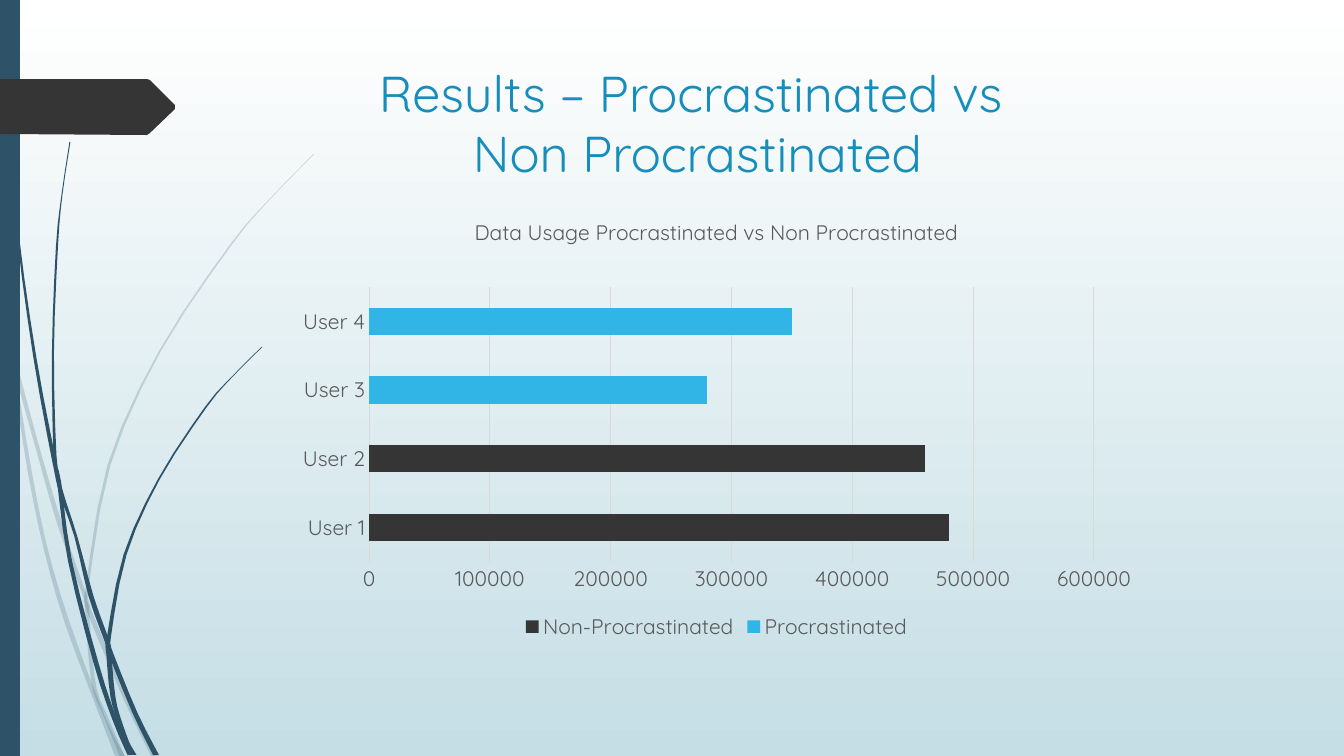
from lxml.etree import SubElement
from pptx import Presentation
from pptx.chart.data import CategoryChartData
from pptx.dml.color import RGBColor
from pptx.enum.chart import XL_CHART_TYPE as CT, XL_LEGEND_POSITION as LP, XL_TICK_MARK as TM
from pptx.enum.shapes import MSO_SHAPE as SH
from pptx.enum.text import MSO_ANCHOR as MA, PP_ALIGN as PA
from pptx.oxml.ns import qn
from pptx.util import Pt

PX = 914400 / 100.8
FONT = "Quicksand"
NAVY, DARK, SKY, TEAL = "2E5369", "353535", "31B4E6", "178DBB"
GREY, GRID = "595959", "D9D9D9"

PALE_STRANDS = [
    ([(14, 348, 0), (19, 379, 4), (39, 453, 4), (60, 525, 5), (86, 599, 4),
      (90, 613, 5), (126, 699, 5), (154, 756, 6)], (4, 5)),
    ([(11, 353, 0), (15, 379, 3), (30, 473, 4), (46, 550, 4), (68, 625, 5),
      (103, 718, 5), (120, 756, 10)], (5,)),
    ([(314, 154, 1), (270, 199, 1), (230, 246, 2), (160, 351, 2), (109, 465, 3),
      (87, 589, 3), (87, 606, 4), (90, 651, 4), (95, 690, 4), (106, 717, 4),
      (122, 756, 5)], (6, 8)),
]
DARK_STRANDS = [
    ([(4, 0, 1), (8, 110, 1), (18, 235, 2), (35, 358, 3), (55, 465, 4),
      (62, 495, 4), (76, 537, 3), (91, 596, 5), (107, 641, 5), (111, 654, 5),
      (135, 713, 5), (156, 755, 6)], (4, 5, 8, 9)),
    ([(70, 142, 1), (62, 195, 1), (57, 247, 2), (53, 352, 2), (55, 455, 3),
      (59, 481, 4), (70, 561, 4), (96, 663, 5), (115, 720, 5), (132, 755, 9)],
     (5, 8)),
    ([(262, 347, 1), (233, 376, 1), (206, 407, 2), (159, 479, 2), (125, 555, 3),
      (109, 637, 4), (109, 655, 5), (113, 697, 5), (120, 722, 4), (132, 755, 4)],
     (5, 7)),
]
TAG = [(0, 79), (147, 79), (150, 80), (175, 105), (175, 109), (150, 133),
       (147, 135), (0, 134)]


def px(*vals):
    return [round(v * PX) for v in vals]


def rgb(hex_color):
    return RGBColor.from_string(hex_color)


def put(obj, **values):
    for name, value in values.items():
        setattr(obj, name, value)


def set_font(font, size, color):
    put(font, size=Pt(size), name=FONT, bold=False)
    font.color.rgb = rgb(color)


def paint(sp, color, opacity=100):
    sp.shadow.inherit = False
    sp.fill.solid()
    sp.fill.fore_color.rgb = rgb(color)
    sp.line.fill.background()
    if opacity < 100:
        clr = sp.fill._xPr.find(qn("a:solidFill"))[0]
        SubElement(clr, qn("a:alpha"), val=str(opacity * 1000))


def add_outline(s, box, points, color, opacity=100):
    edge = [px(box[0] + x, box[1] + y) for x, y in points]
    fb = s.shapes.build_freeform(*edge[0], scale=1.0)
    fb.add_line_segments(edge[1:], close=True)
    paint(fb.convert_to_shape(), color, opacity)


def smooth(knots, steps):
    ends = [knots[0], *knots, knots[-1]]
    for a, b, c, d in zip(ends, ends[1:], ends[2:], ends[3:]):
        for t in (i / steps for i in range(steps)):
            yield [q + t * (r - p + t * (2 * p - 5 * q + 4 * r - s
                   + t * (3 * q - p - 3 * r + s))) / 2
                   for p, q, r, s in zip(a, b, c, d)]
    yield knots[-1]


def add_strand(s, box, knots, cuts, opacity, steps=3):
    pts = list(smooth(knots, steps))
    marks = [0, *cuts, len(knots) - 1]
    for start, end in zip(marks, marks[1:]):
        part = pts[start * steps:end * steps + 1]
        left = [(x - w / 2, y) for x, y, w in part]
        right = [(x + w / 2, y) for x, y, w in reversed(part)]
        add_outline(s, box, left + right, NAVY, opacity)


def add_side_decor(s, box):
    x, y, w, h = box
    for strands, opacity in ((PALE_STRANDS, 20), (DARK_STRANDS, 100)):
        for knots, cuts in strands:
            add_strand(s, box, knots, cuts, opacity)
    paint(s.shapes.add_shape(SH.RECTANGLE, *px(x, y, 20, h)), NAVY)
    add_outline(s, box, TAG, DARK)


def add_title(s, box):
    tf = s.shapes.add_textbox(*px(*box)).text_frame
    put(tf, word_wrap=True, vertical_anchor=MA.TOP,
        text="Results – Procrastinated vs \vNon Procrastinated")
    p = tf.paragraphs[0]
    p.alignment = PA.CENTER
    for r in p.runs:
        set_font(r.font, 36, TEAL)


def set_plot_layout(chart, box, plot_box):
    area = chart._chartSpace.chart.plotArea
    for old in area.findall(qn("c:layout")):
        area.remove(old)
    layout = SubElement(area, qn("c:layout"))
    area.insert(0, layout)
    manual = SubElement(layout, qn("c:manualLayout"))
    w, h = box[2:]
    shares = [v / full for v, full in zip(plot_box, (w, h, w, h))]
    modes = dict(layoutTarget="inner", xMode="edge", yMode="edge")
    for tag, val in {**modes, **dict(zip("xywh", shares))}.items():
        SubElement(manual, qn("c:" + tag), val=str(val))


def add_usage_chart(s, box):
    data = CategoryChartData()
    data.categories = [f"User {n}" for n in range(1, 5)]
    data.add_series("Non-Procrastinated", (480000, 460000, 280000, 350000))
    data.add_series("Procrastinated", (0, 0, 0, 0))
    chart = s.shapes.add_chart(CT.BAR_STACKED, *px(*box), data).chart
    set_font(chart.font, 15, GREY)
    chart.has_title = chart.has_legend = True
    tf = chart.chart_title.text_frame
    tf.text = "Data Usage Procrastinated vs Non Procrastinated"
    set_font(tf.paragraphs[0].runs[0].font, 15, GREY)
    put(chart.legend, position=LP.BOTTOM, include_in_layout=False)
    set_font(chart.legend.font, 15, GREY)
    plot = chart.plots[0]
    put(plot, gap_width=150, overlap=100, vary_by_categories=False)
    for ser, color in zip(plot.series, (DARK, SKY)):
        ser.format.fill.solid()
        ser.format.fill.fore_color.rgb = rgb(color)
    for i in (2, 3):
        fill = plot.series[0].points[i].format.fill
        fill.solid()
        fill.fore_color.rgb = rgb(SKY)
    cat, val = chart.category_axis, chart.value_axis
    for axis in (cat, val):
        put(axis, major_tick_mark=TM.NONE, minor_tick_mark=TM.NONE)
        set_font(axis.tick_labels.font, 15, GREY)
    put(val, minimum_scale=0, maximum_scale=600000, major_unit=100000)
    val.format.line.fill.background()
    for line in (cat.format.line, val.major_gridlines.format.line):
        line.width = Pt(0.75)
        line.color.rgb = rgb(GRID)
    set_plot_layout(chart, box, (84, 88, 725, 275))


def add_background(s):
    fill = s.background.fill
    fill.gradient()
    fill.gradient_angle = 270
    for stop, color, pos in zip(fill.gradient_stops, ("FFFFFF", "C5DEE5"), (0, 1)):
        stop.color.rgb = rgb(color)
        stop.position = pos


prs = Presentation()
prs.slide_width, prs.slide_height = px(1344, 756)
s = prs.slides.add_slide(prs.slide_layouts[6])
add_background(s)
add_side_decor(s, (0, 0, 314, 756))
add_title(s, (206, 57, 983, 141))
add_usage_chart(s, (285, 199, 863, 445))
prs.save("out.pptx")
